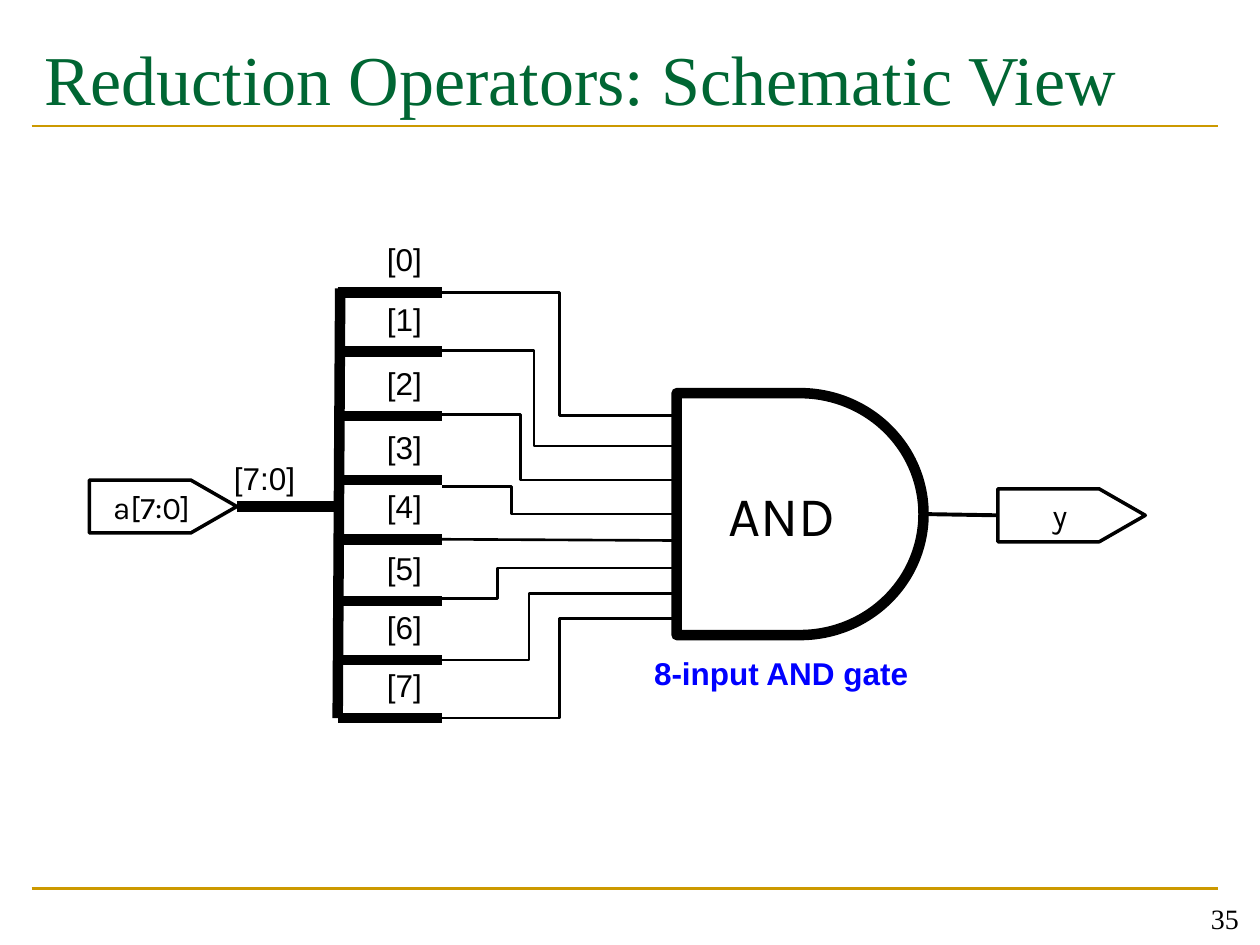
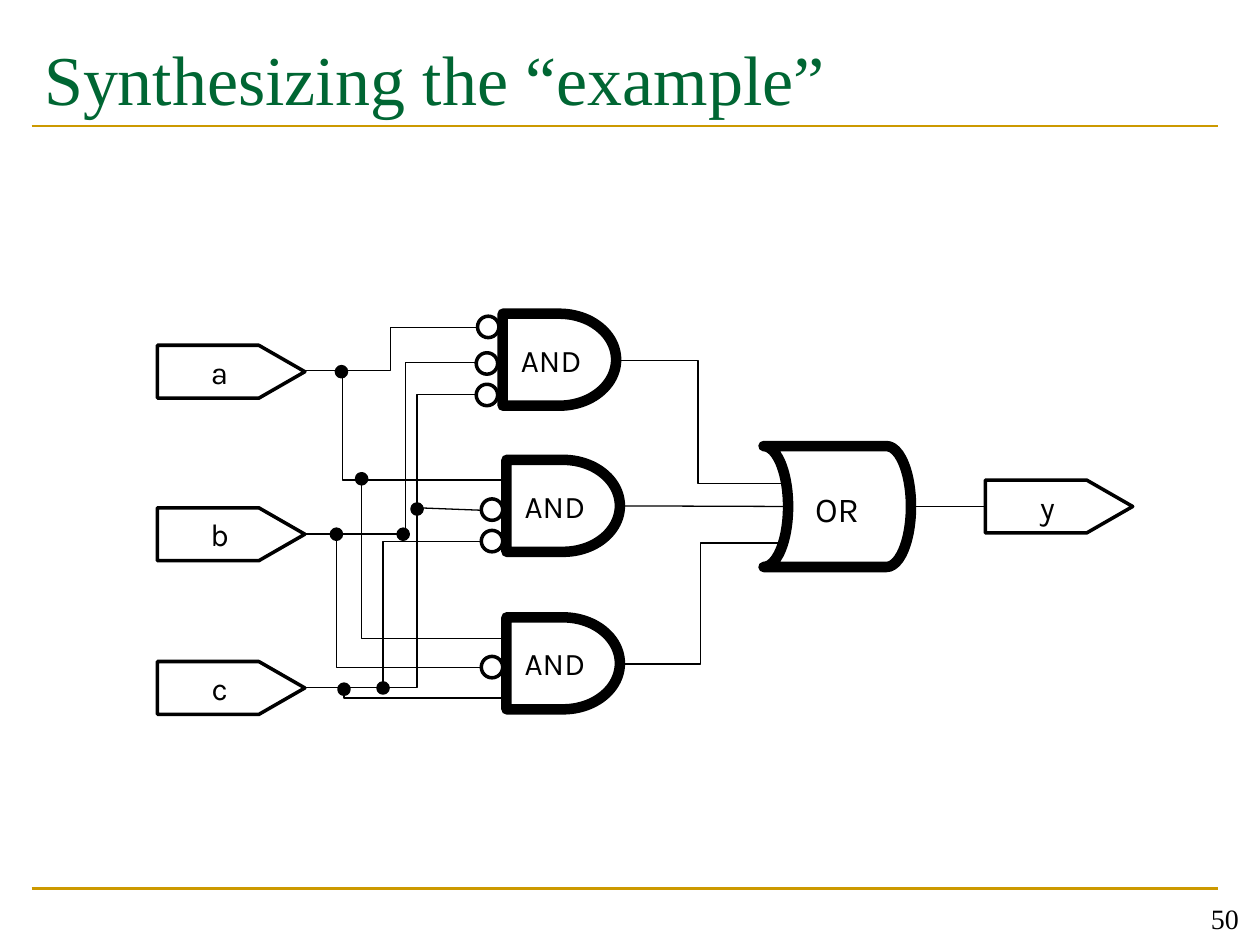
from dataclasses import dataclass
from lxml.etree import SubElement
from pptx import Presentation
from pptx.dml.color import RGBColor
from pptx.enum.shapes import MSO_CONNECTOR, MSO_SHAPE
from pptx.enum.text import MSO_ANCHOR, PP_ALIGN
from pptx.oxml.ns import qn
from pptx.util import Inches, Pt


@dataclass(frozen=True)
class Theme:
    """Colours, fonts, type sizes and line widths of the deck."""
    ink: str = "000000"
    paper: str = "FFFFFF"
    green: str = "006633"
    gold: str = "CC9900"
    blue: str = "0000FF"
    serif: str = "Times New Roman"
    sans: str = "Arial"
    gate: str = "Karla"
    title: int = 40
    big: int = 32
    mid: int = 20
    text: int = 18
    foot: int = 16
    bold: float = 6
    edge: float = 2
    out: float = 2.25
    wire: float = 1.5
    thin: float = 0.75


T = Theme()


def write(frame, text, size, font, color=T.ink, align=PP_ALIGN.CENTER, bold=False):
    """Write one formatted run into the first paragraph of a text frame."""
    para = frame.paragraphs[0]
    para.alignment = align
    run = para.add_run()
    run.text = text
    run.font.size = Pt(size)
    run.font.name = font
    run.font.bold = bold
    run.font.color.rgb = RGBColor.from_string(color)


def label(slide, at, text, size=T.text, font=T.sans, anchor=MSO_ANCHOR.TOP, **style):
    """Add a text box with one line of text."""
    box = slide.shapes.add_textbox(*map(Inches, at))
    box.text_frame.word_wrap = True
    box.text_frame.vertical_anchor = anchor
    write(box.text_frame, text, size, font, **style)


def node(slide, kind, at, width, text="", size=T.text, fill=T.paper):
    """Add an outlined shape with an optional centred caption."""
    shape = slide.shapes.add_shape(kind, *map(Inches, at))
    shape.shadow.inherit = False
    shape.fill.solid()
    shape.fill.fore_color.rgb = RGBColor.from_string(fill)
    shape.line.color.rgb = RGBColor.from_string(T.ink)
    shape.line.width = Pt(width)
    if text:
        frame = shape.text_frame
        frame.margin_left = frame.margin_right = 0
        frame.margin_top = frame.margin_bottom = 0
        frame.vertical_anchor = MSO_ANCHOR.MIDDLE
        write(frame, text, size, T.gate)
    return shape


def port(slide, left, top, name):
    """Add a pentagon for a module input or output."""
    shape = node(slide, MSO_SHAPE.PENTAGON, (left, top, 1.17, 0.42), T.edge, name)
    shape.adjustments[0] = 0.87
    return shape


def gate(slide, at, size=T.text):
    """Add an AND gate."""
    return node(slide, MSO_SHAPE.FLOWCHART_DELAY, at, T.bold, "AND", size)


def ring(slide, left, top):
    """Add an inverting bubble at a gate input."""
    node(slide, MSO_SHAPE.OVAL, (left, top, 0.17, 0.17), T.edge)


def dot(slide, left, top):
    """Add a solid wire junction."""
    node(slide, MSO_SHAPE.OVAL, (left, top, 0.08, 0.08), T.edge, fill=T.ink)


def style(line, width, color):
    """Colour a connector and remove its shadow."""
    line.line.color.rgb = RGBColor.from_string(color)
    line.line.width = Pt(width)
    SubElement(line._element.spPr, qn("a:effectLst"))


def wire(slide, ends, width, color=T.ink, head=None, tail=None):
    """Add a straight line, joined to the side of a shape where one is given."""
    line = slide.shapes.add_connector(MSO_CONNECTOR.STRAIGHT, *map(Inches, ends))
    if head:
        line.begin_connect(head, 3)
    if tail:
        line.end_connect(tail, 1)
    style(line, width, color)


def elbow(slide, ends, turn, width):
    """Add a bent line whose upright part stands at the given x."""
    line = slide.shapes.add_connector(MSO_CONNECTOR.ELBOW, *map(Inches, ends))
    style(line, width, T.ink)
    geom = line._element.spPr.find(qn("a:prstGeom"))
    guides = geom.find(qn("a:avLst"))
    if guides is None:
        guides = SubElement(geom, qn("a:avLst"))
    share = round((turn - ends[0]) / (ends[2] - ends[0]) * 100000)
    SubElement(guides, qn("a:gd"), name="adj1", fmla=f"val {share}")


def start(deck, title, number):
    """Add a slide with its title, rules and page number."""
    slide = deck.slides.add_slide(deck.slide_layouts[5])
    for y in (7.05, 1):
        wire(slide, (0.25, y, 9.67, y), T.wire, T.gold)
    head = slide.shapes.title
    head.left, head.top, head.width, head.height = map(Inches, (0.25, 0.17, 9.42, 0.97))
    frame = head.text_frame
    frame.vertical_anchor = MSO_ANCHOR.TOP
    frame.margin_top = Inches(0.11)
    write(frame, title, T.title, T.serif, T.green, PP_ALIGN.LEFT)
    label(slide, (7.6, 6.97, 2.33, 0.5), number, T.foot, T.serif,
          MSO_ANCHOR.BOTTOM, align=PP_ALIGN.RIGHT)
    return slide


def reduce(deck):
    """Draw the eight-input reduction AND."""
    slide = start(deck, "Reduction Operators: Schematic View", "35")
    big = gate(slide, (5.37, 3.12, 1.96, 1.92), T.big)
    source = port(slide, 0.71, 3.81, "a[7:0]")
    wire(slide, (1.88, 4.02, 2.7, 4.02), T.bold, head=source)
    label(slide, (1.68, 3.59, 0.84, 0.4), "[7:0]")
    wire(slide, (2.68, 5.7, 2.7, 2.29), T.bold)
    taps = (2.32, 2.79, 3.3, 3.81, 4.28, 4.77, 5.24, 5.7)
    for bit, y in enumerate(taps):
        wire(slide, (2.68, y, 3.51, y), T.bold)
        label(slide, (2.79, y - 0.46, 0.84, 0.4), f"[{bit}]")
    bends = (
        (2.32, 4.44, 3.3), (2.78, 4.24, 3.54), (3.29, 4.13, 3.81),
        (3.86, 4.06, 4.08), (4.75, 3.95, 4.51), (5.24, 4.2, 4.71),
        (5.7, 4.44, 4.91),
    )
    for y, turn, pin in bends:
        elbow(slide, (3.51, y, 5.37, pin), turn, T.wire)
    wire(slide, (3.51, 4.28, 5.37, 4.29), T.wire)
    sink = port(slide, 7.92, 3.88, "y")
    wire(slide, (7.33, 4.08, 7.92, 4.09), T.out, head=big, tail=sink)
    label(slide, (5.01, 5.14, 2.38, 0.4), "8-input AND gate", color=T.blue, bold=True)


def example(deck):
    """Draw the sum of products with three AND gates and one OR gate."""
    slide = start(deck, "Synthesizing the “example”", "50")
    gates = [gate(slide, (x, y, 0.9, 0.73))
             for x, y in ((3.99, 2.49), (4.02, 3.65), (4.02, 4.9))]
    for name, y in (("a", 2.74), ("b", 4.03), ("c", 5.25)):
        port(slide, 1.25, y, name)
    sink = port(slide, 7.82, 3.81, "y")
    for x, y in ((3.79, 2.51), (3.78, 2.8), (3.78, 3.05),
                 (3.82, 3.96), (3.82, 4.21), (3.82, 5.21)):
        ring(slide, x, y)
    store = node(slide, MSO_SHAPE.FLOWCHART_STORED_DATA, (6.06, 3.54, 1.17, 0.96), T.bold)
    store.rotation = 180
    label(slide, (6.37, 3.82, 0.75, 0.44), "OR", T.mid, T.gate, align=PP_ALIGN.LEFT)
    bends = (
        ((2.42, 2.94, 3.79, 2.6), 3.1), ((2.42, 4.24, 3.78, 2.88), 3.22),
        ((2.42, 5.46, 3.78, 3.13), 3.31), ((2.7, 2.94, 3.99, 3.81), 2.72),
        ((3.04, 5.42, 3.82, 4.3), 3.04), ((2.87, 3.81, 3.99, 5.07), 2.87),
        ((2.65, 4.24, 3.82, 5.3), 2.67), ((2.73, 5.46, 3.98, 5.54), 2.73),
        ((4.88, 2.86, 6.2, 3.84), 5.54), ((4.92, 5.27, 6.2, 4.31), 5.56),
    )
    for ends, turn in bends:
        elbow(slide, ends, turn, T.thin)
    wire(slide, (4.92, 4.02, 6.26, 4.02), T.thin, head=gates[1])
    wire(slide, (7.23, 4.02, 7.82, 4.02), T.thin, tail=sink)
    wire(slide, (3.83, 4.05, 3.31, 4.03), T.thin)
    for x, y in ((2.67, 2.91), (3.16, 4.2), (3, 5.42), (2.63, 4.2),
                 (2.69, 5.43), (2.83, 3.76), (3.27, 4)):
        dot(slide, x, y)


def main():
    """Build and save the deck."""
    deck = Presentation()
    deck.slide_width, deck.slide_height = Inches(10), Inches(7.5)
    reduce(deck)
    example(deck)
    deck.save("out.pptx")


if __name__ == "__main__":
    main()
